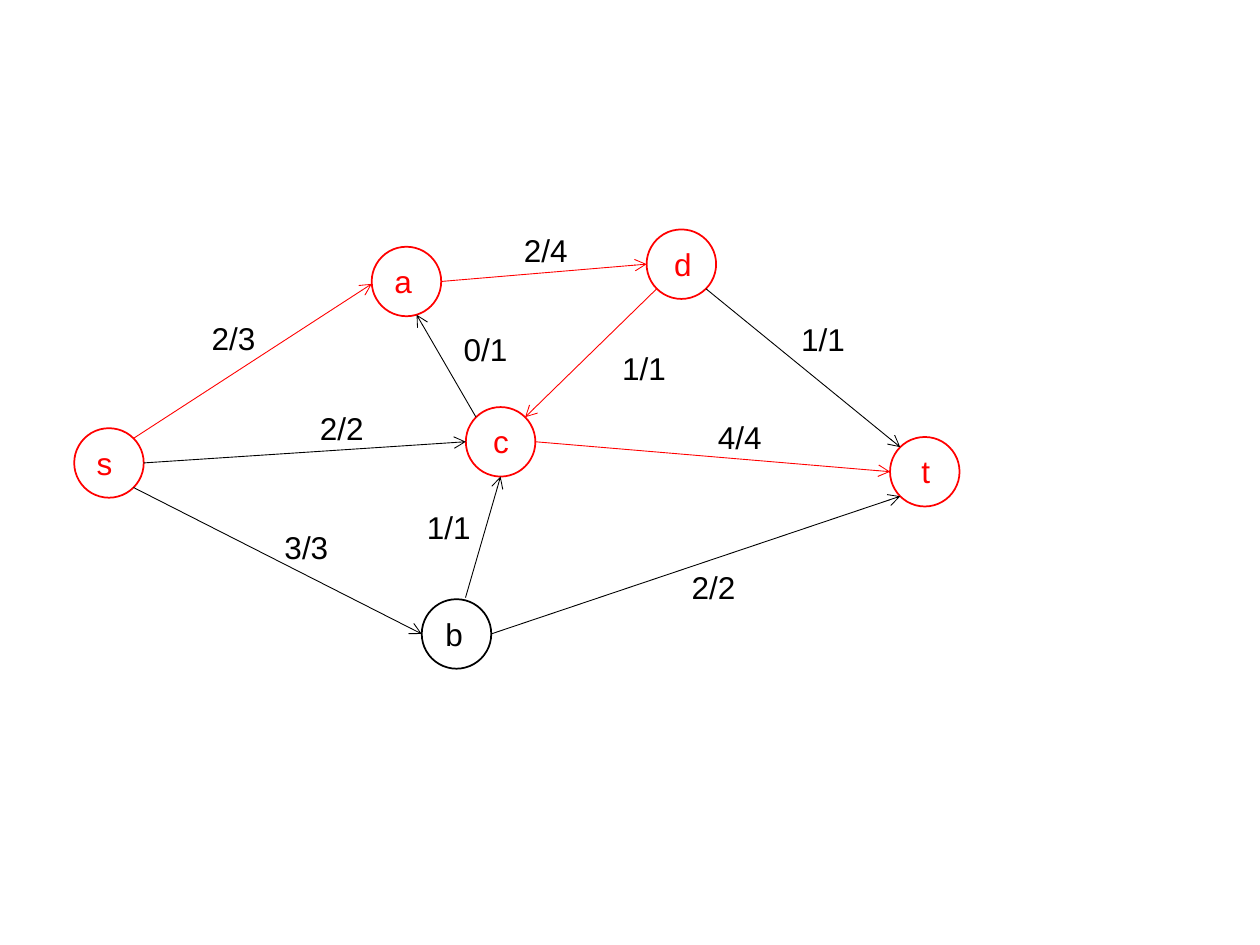
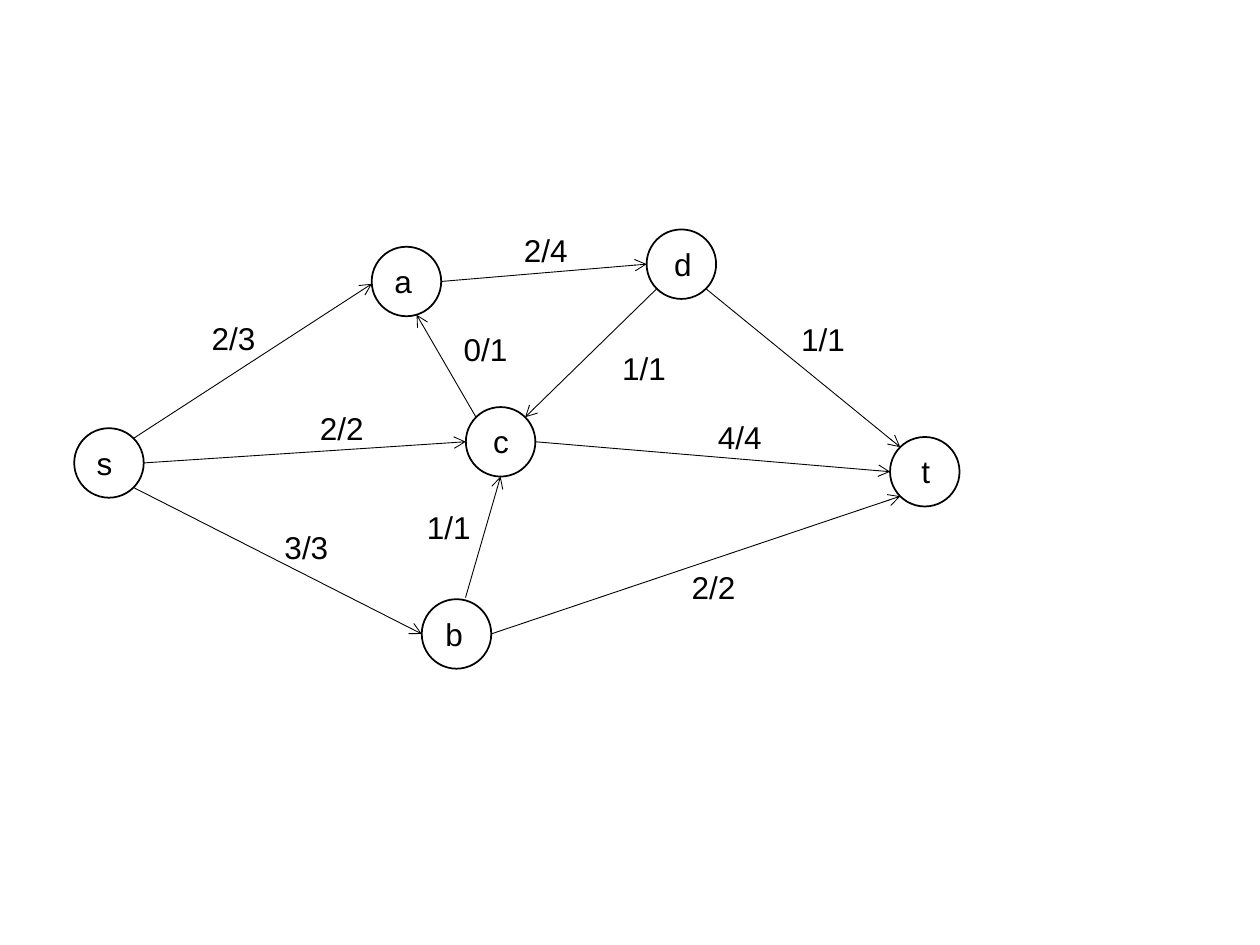
"""Build two slides of a flow network: with its augmenting path marked, then plain."""
from dataclasses import dataclass
from itertools import pairwise
from math import cos, radians, sin

from lxml import etree
from pptx import Presentation
from pptx import util as u
from pptx.dml.color import RGBColor
from pptx.enum import shapes, text
from pptx.oxml import ns


@dataclass(frozen=True)
class Theme:
    ink: RGBColor = RGBColor(0, 0, 0)
    marked: RGBColor = RGBColor(255, 0, 0)
    paper: RGBColor = RGBColor(255, 255, 255)
    font: str = "Arial"
    text_size: u.Pt = u.Pt(18)
    node_line: u.Pt = u.Pt(1)
    edge_line: u.Pt = u.Pt(0.5)


@dataclass(frozen=True)
class Label:
    left: float
    top: float
    width: float = 48.2


@dataclass(frozen=True)
class Node:
    left: float
    top: float
    label_indent: float
    label_width: float

    def rim(self, angle: float, gap: float = 0) -> tuple[u.Pt, u.Pt]:
        radius, turn = DIAMETER / 2, radians(angle)
        return (u.Pt(self.left + radius + (radius + gap) * cos(turn)),
                u.Pt(self.top + radius + (radius + gap) * sin(turn)))


@dataclass(frozen=True)
class Edge:
    source: str
    target: str
    leave_angle: float
    arrive_angle: float
    flow: str
    label: Label
    start_gap: float = 0


THEME = Theme()
DIAMETER = 39.7
LABEL_DROP = 5.3
LABEL_HEIGHT = 28.9
RIGHT, BOTTOM_RIGHT, BOTTOM, BOTTOM_LEFT = 0, 45, 90, 135
LEFT, TOP_LEFT, TOP_RIGHT = 180, 225, 315

NODES = {
    "s": Node(42.4, 244.7, 5.8, 28.1),
    "a": Node(212.4, 141, 5.8, 28.1),
    "b": Node(241, 342.4, 6.5, 26.6),
    "c": Node(266.2, 232.6, 8.6, 21.6),
    "t": Node(508.6, 249.7, 10.8, 18.7),
    "d": Node(369.5, 131.1, 8.6, 23),
}
EDGES = [
    Edge("s", "a", TOP_RIGHT, 176, "2/3", Label(113.8, 178.6, 54.7)),
    Edge("s", "c", RIGHT, LEFT, "2/2", Label(175.7, 230.4)),
    Edge("s", "b", BOTTOM_RIGHT, LEFT, "3/3", Label(155.5, 298.1)),
    Edge("a", "d", RIGHT, LEFT, "2/4", Label(292.3, 128.2)),
    Edge("c", "a", TOP_LEFT, 73, "0/1", Label(257.8, 185)),
    Edge("d", "c", BOTTOM_LEFT, TOP_RIGHT, "1/1", Label(348.5, 195.8)),
    Edge("b", "c", 284, BOTTOM, "1/1", Label(236.9, 286.6, 57.6), start_gap=1.5),
    Edge("c", "t", RIGHT, LEFT, "4/4", Label(403.2, 235.4)),
    Edge("d", "t", BOTTOM_RIGHT, TOP_LEFT, "1/1", Label(450.7, 179.3, 66.2)),
    Edge("b", "t", RIGHT, BOTTOM_LEFT, "2/2", Label(388.1, 321.1)),
]
AUGMENTING_PATH = "sadct"


def apply_format(target, values: dict) -> None:
    """Set each named attribute of the target."""
    for name, value in values.items():
        setattr(target, name, value)


def draw_label(slide, label: Label, wording: str, color: RGBColor) -> None:
    """Write a node name or a flow value."""
    box = slide.shapes.add_textbox(
        u.Pt(label.left), u.Pt(label.top), u.Pt(label.width), u.Pt(LABEL_HEIGHT))
    frame = box.text_frame
    apply_format(frame, {"word_wrap": True, "auto_size": text.MSO_AUTO_SIZE.SHAPE_TO_FIT_TEXT})
    run = frame.paragraphs[0].add_run()
    run.text = wording
    apply_format(run.font, {"name": THEME.font, "size": THEME.text_size})
    run.font.color.rgb = color


def draw_node(slide, node: Node, name: str, color: RGBColor) -> None:
    """Draw a node circle with its name."""
    circle = slide.shapes.add_shape(
        shapes.MSO_SHAPE.OVAL, u.Pt(node.left), u.Pt(node.top), u.Pt(DIAMETER), u.Pt(DIAMETER))
    circle.shadow.inherit = False
    circle.fill.solid()
    circle.fill.fore_color.rgb = THEME.paper
    circle.line.color.rgb = color
    circle.line.width = THEME.node_line
    label = Label(node.left + node.label_indent, node.top + LABEL_DROP, node.label_width)
    draw_label(slide, label, name, color)


def draw_edge(slide, edge: Edge, color: RGBColor) -> None:
    """Draw an arrow between two nodes with its flow value."""
    start = NODES[edge.source].rim(edge.leave_angle, edge.start_gap)
    end = NODES[edge.target].rim(edge.arrive_angle)
    arrow = slide.shapes.add_connector(shapes.MSO_CONNECTOR.STRAIGHT, *start, *end)
    arrow.line.color.rgb = color
    arrow.line.width = THEME.edge_line
    properties = arrow.element.spPr
    etree.SubElement(properties.find(ns.qn("a:ln")), ns.qn("a:tailEnd"), type="arrow")
    etree.SubElement(properties, ns.qn("a:effectLst"))
    draw_label(slide, edge.label, edge.flow, THEME.ink)


def draw_network(slide, marked_path: str) -> None:
    """Draw the whole network and colour the nodes and edges of the marked path."""
    for name, node in NODES.items():
        draw_node(slide, node, name, THEME.marked if name in marked_path else THEME.ink)
    steps = set(pairwise(marked_path))
    for edge in EDGES:
        on_path = (edge.source, edge.target) in steps
        draw_edge(slide, edge, THEME.marked if on_path else THEME.ink)


def main() -> None:
    """Build and save the presentation."""
    presentation = Presentation()
    apply_format(presentation, {"slide_width": u.Pt(720), "slide_height": u.Pt(540)})
    for marked_path in (AUGMENTING_PATH, ""):
        draw_network(presentation.slides.add_slide(presentation.slide_layouts[6]), marked_path)
    presentation.save("out.pptx")


if __name__ == "__main__":
    main()
